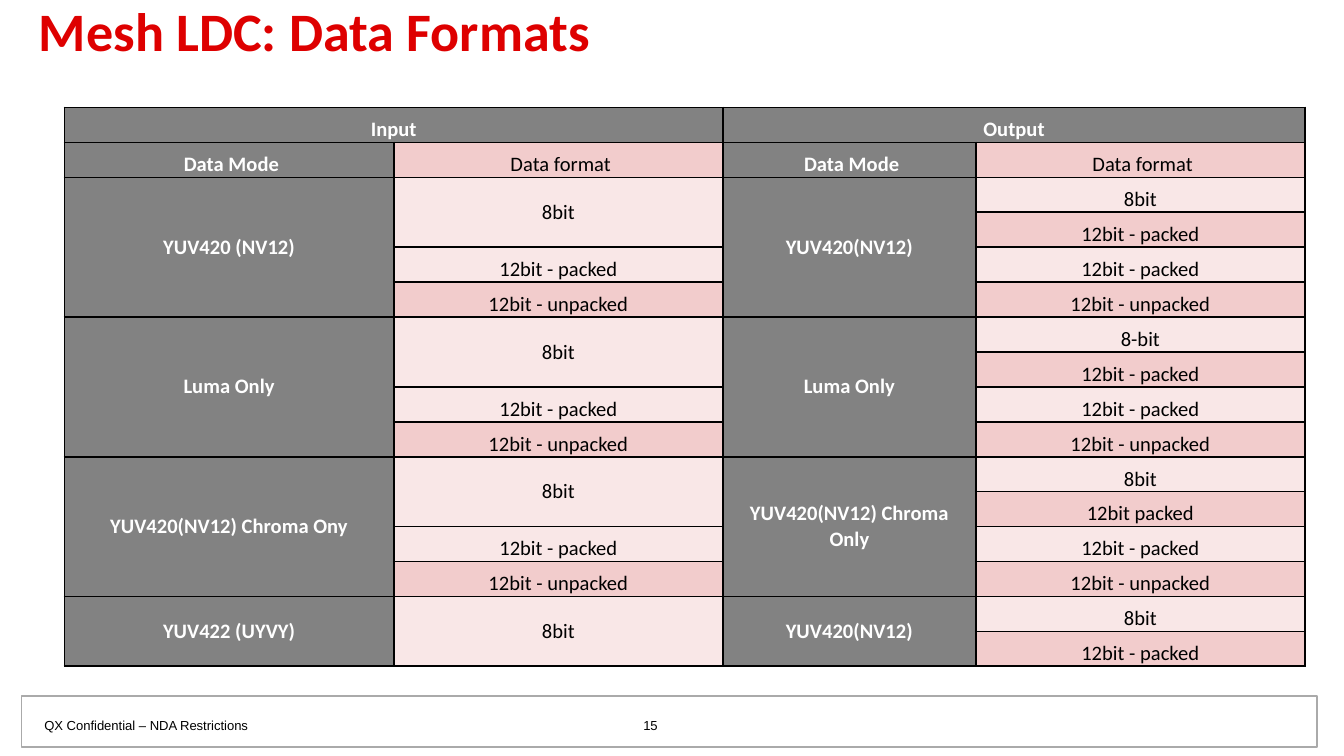
import pptx
import pptx.dml.color
import pptx.enum.shapes
import pptx.enum.text
import pptx.oxml
import pptx.oxml.ns
import pptx.util

Inches = pptx.util.Inches
Pt = pptx.util.Pt
ANCHOR = pptx.enum.text.MSO_ANCHOR
ALIGN = pptx.enum.text.PP_ALIGN

COLOURS = {
    "title": "DE0000",
    "text": "000000",
    "label_text": "FFFFFF",
    "label": "828282",
    "light": "F9E7E7",
    "dark": "F2CCCC",
    "panel": "FFFFFF",
    "panel_line": "AAAAAA",
    "border": "000000",
}

COLUMN_WIDTHS = [2.45, 2.45, 1.88, 2.45]
ROW_COUNT = 16
ROW_HEIGHT = 0.26

PACKED, UNPACKED = "12bit - packed", "12bit - unpacked"
# Input mode, input formats, output mode, output formats.
# The first input format of each group covers two rows.
GROUPS = [
    ("YUV420 (NV12)", ["8bit", PACKED, UNPACKED],
     "YUV420(NV12)", ["8bit", PACKED, PACKED, UNPACKED]),
    ("Luma Only", ["8bit", PACKED, UNPACKED],
     "Luma Only", ["8-bit", PACKED, PACKED, UNPACKED]),
    ("YUV420(NV12) Chroma Ony", ["8bit", PACKED, UNPACKED],
     "YUV420(NV12) Chroma Only", ["8bit", "12bit packed", PACKED, UNPACKED]),
    ("YUV422 (UYVY)", ["8bit"],
     "YUV420(NV12)", ["8bit", PACKED]),
]


def colour(name):
    return pptx.dml.color.RGBColor.from_string(COLOURS[name])


def write_text(frame, text, size=11, font="Calibri", ink="text", bold=False,
               align=ALIGN.LEFT, line_spacing=None):
    para = frame.paragraphs[0]
    para.alignment = align
    if line_spacing:
        para.line_spacing = line_spacing
    span = para.add_run()
    span.text = text
    span.font.size = Pt(size)
    span.font.name = font
    span.font.bold = bold
    span.font.color.rgb = colour(ink)


def add_borders(cell, width=1):
    """Draw all four edges; the schema wants them ahead of the cell's fill."""
    properties = cell._tc.get_or_add_tcPr()
    for index, side in enumerate("LRTB"):
        properties.insert(index, pptx.oxml.parse_xml(
            f'<a:ln{side} {pptx.oxml.ns.nsdecls("a")} w="{Pt(width)}">'
            f'<a:solidFill><a:srgbClr val="{COLOURS["border"]}"/></a:solidFill>'
            f'</a:ln{side}>'))


class SlideBuilder:
    def __init__(self, slide):
        self.slide = slide

    def panel(self, left, top, width, height, line=None):
        box = self.slide.shapes.add_shape(
            pptx.enum.shapes.MSO_SHAPE.RECTANGLE,
            Inches(left), Inches(top), Inches(width), Inches(height))
        box.shadow.inherit = False
        box.fill.solid()
        box.fill.fore_color.rgb = colour("panel")
        if line:
            box.line.color.rgb = colour(line)
            box.line.width = Pt(0.75)
        else:
            box.line.fill.background()

    def text(self, left, top, width, height, text, anchor=ANCHOR.TOP, **style):
        box = self.slide.shapes.add_textbox(
            Inches(left), Inches(top), Inches(width), Inches(height))
        frame = box.text_frame
        frame.word_wrap = True
        frame.vertical_anchor = anchor
        frame.margin_left = frame.margin_right = Inches(0.09)
        frame.margin_top = frame.margin_bottom = Inches(0.04)
        write_text(frame, text, **style)

    def table(self, left, top, widths, row_height, row_count):
        table = self.slide.shapes.add_table(
            row_count, len(widths), Inches(left), Inches(top),
            Inches(sum(widths)), Inches(row_height * row_count)).table
        for column, width in zip(table.columns, widths):
            column.width = Inches(width)
        for row in table.rows:
            row.height = Inches(row_height)
        for cell in table.iter_cells():
            add_borders(cell)
        return table

    def cell(self, table, row, column, text, rows=1, columns=1, label=False):
        """Fill a cell; a format cell is shaded by the parity of its row."""
        cell = table.cell(row, column)
        if rows > 1 or columns > 1:
            cell.merge(table.cell(row + rows - 1, column + columns - 1))
        cell.fill.solid()
        shade = "label" if label else ("light", "dark")[row % 2]
        cell.fill.fore_color.rgb = colour(shade)
        cell.margin_left = cell.margin_right = Inches(0.05)
        cell.margin_top = cell.margin_bottom = 0
        cell.vertical_anchor = ANCHOR.MIDDLE if rows > 1 else ANCHOR.BOTTOM
        write_text(cell.text_frame, text, bold=label, align=ALIGN.CENTER,
                   ink="label_text" if label else "text")

    def formats_table(self):
        table = self.table(0.48, 0.8, COLUMN_WIDTHS, ROW_HEIGHT, ROW_COUNT)
        for column, heading in ((0, "Input"), (2, "Output")):
            self.cell(table, 0, column, heading, columns=2, label=True)
            self.cell(table, 1, column, " Data Mode", label=True)
            self.cell(table, 1, column + 1, " Data format")
        top = 2
        for input_mode, inputs, output_mode, outputs in GROUPS:
            count = len(outputs)
            self.cell(table, top, 0, input_mode, rows=count, label=True)
            self.cell(table, top, 1, inputs[0], rows=2)
            for row, name in enumerate(inputs[1:], top + 2):
                self.cell(table, row, 1, name)
            self.cell(table, top, 2, output_mode, rows=count, label=True)
            for row, name in enumerate(outputs, top):
                self.cell(table, row, 3, name)
            top += count


def main():
    deck = pptx.Presentation()
    deck.slide_width = Inches(10)
    deck.slide_height = deck.slide_width * 9 // 16
    page = SlideBuilder(deck.slides.add_slide(deck.slide_layouts[6]))

    page.panel(0.05, 5.19, 9.56, 0.38)
    page.panel(0.16, 5.18, 9.64, 0.38, line="panel_line")
    page.text(0.24, 5.3, 2.77, 0.21, "QX Confidential – NDA Restrictions",
              size=7, font="Arial")
    page.text(0.2, 0.07, 9.53, 0.38, "Mesh LDC: Data Formats",
              anchor=ANCHOR.MIDDLE, size=29, ink="title", bold=True,
              line_spacing=0.85)
    page.text(4.08, 5.3, 1.52, 0.17, "15", size=7, font="Arial",
              align=ALIGN.CENTER)
    page.formats_table()

    deck.save("out.pptx")


if __name__ == "__main__":
    main()
